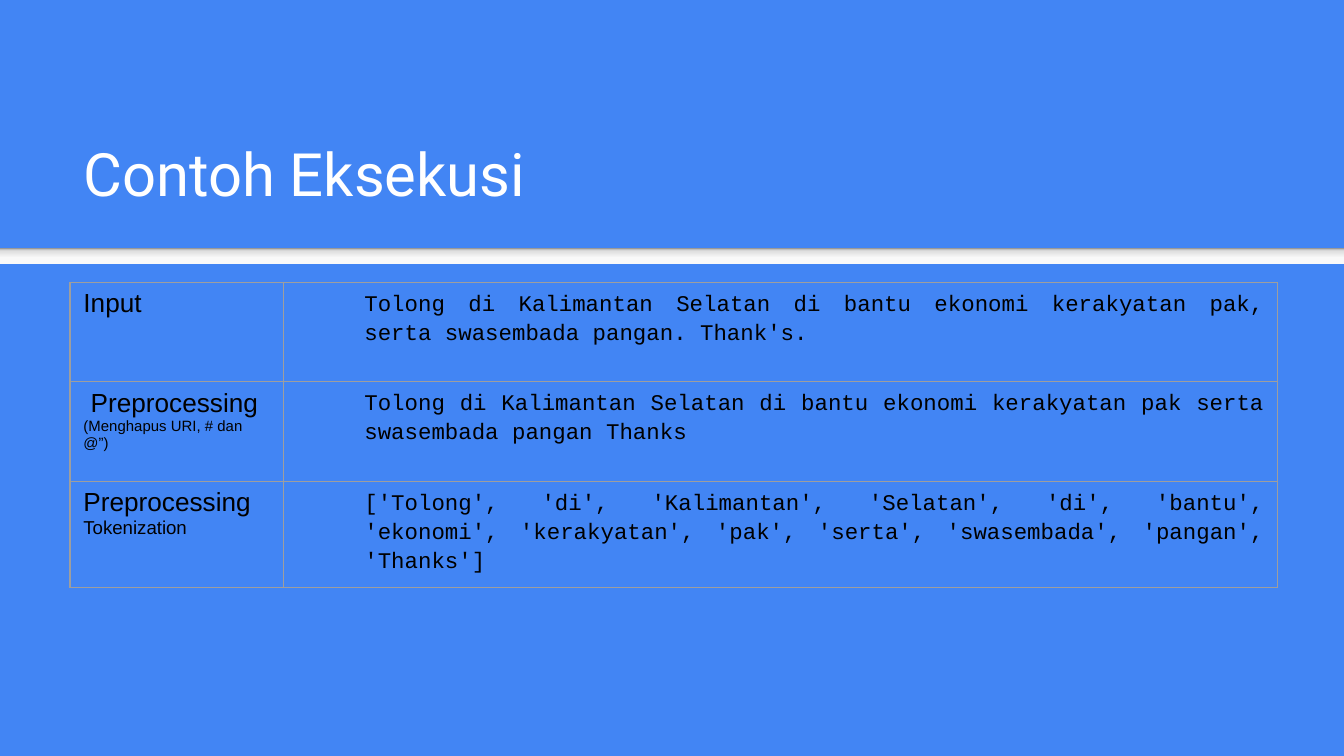
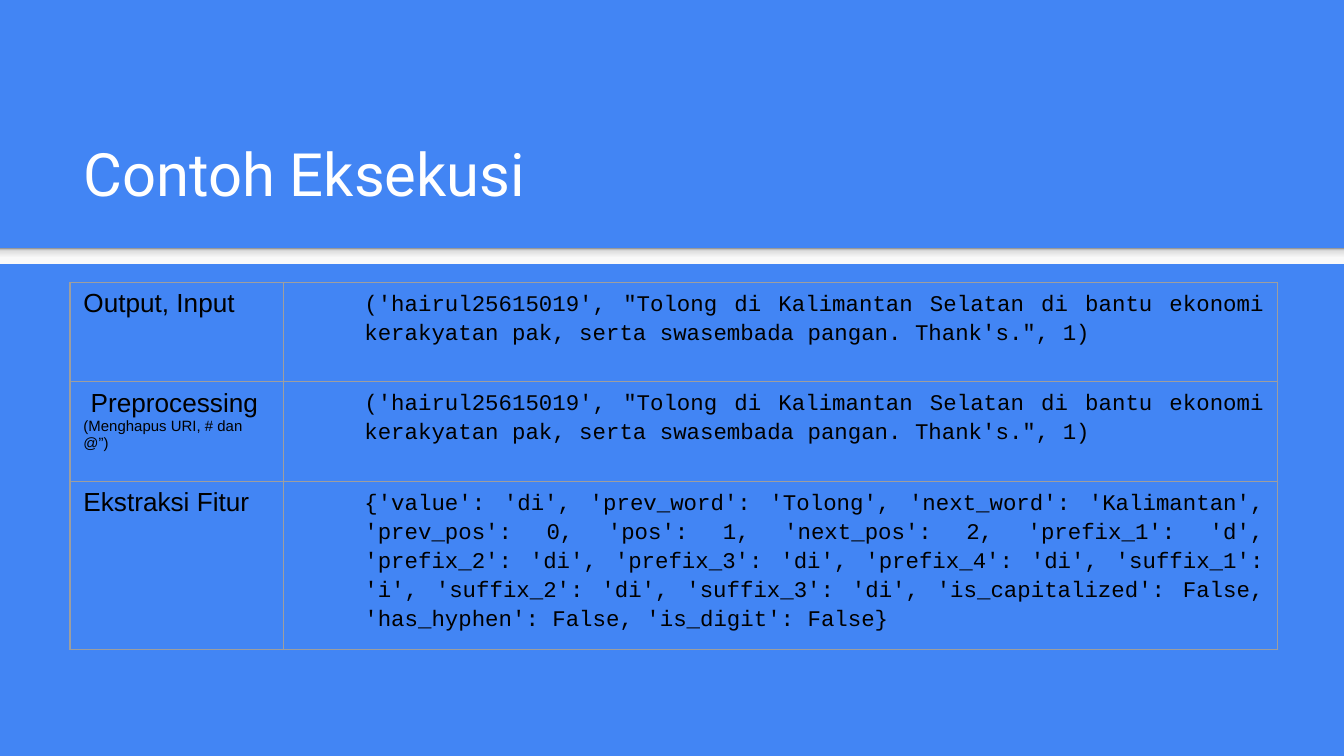
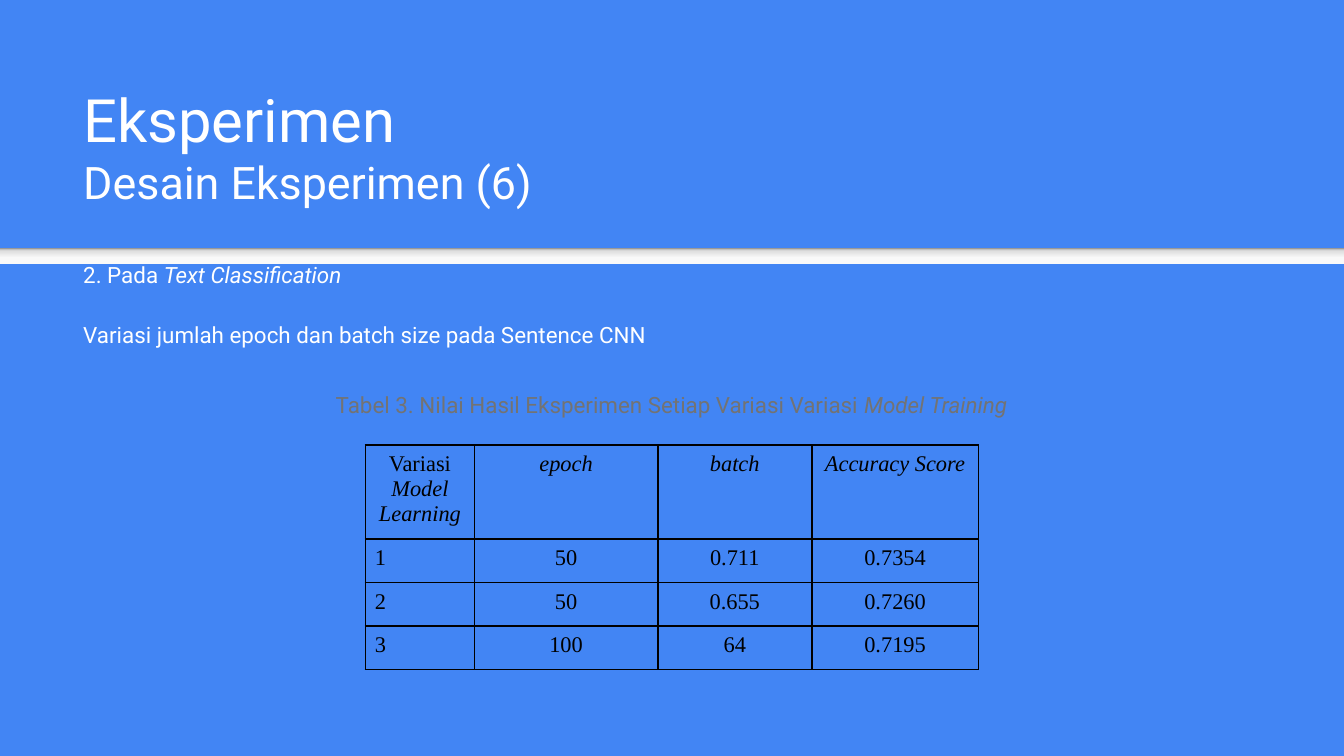
from lxml import etree
from pptx import Presentation
from pptx import util as u
from pptx.dml.color import RGBColor
from pptx.enum import shapes, text
from pptx.oxml import ns, parse_xml

COLORS = {"blue": "4285F4", "white": "FFFFFF", "black": "000000",
          "rule": "9E9E9E", "caption": "737373"}
BAND_STOPS = [(0, "F9F9F9"), (36, "F9F9F9"), (80, "DEDEDE"), (100, "999999")]
ALIGN = text.PP_ALIGN
LEFT, WIDTH = 37.5, 647
ITALIC = {"italic": True}

# A text is a list of paragraphs; a paragraph is a list of (words, format) spans.
EXECUTION_TITLE = [[("Contoh Eksekusi", {})]]
CLEANING = [[(" Preprocessing", {})], [("(Menghapus URI, # dan @”)", {"size": 8})]]
TWEET = ("('hairul25615019', \"Tolong di Kalimantan Selatan di bantu ekonomi "
         "kerakyatan pak, serta swasembada pangan. Thank's.\", 1)")
EXECUTIONS = [
    [
        ([[("Input", {})]],
         "Tolong di Kalimantan Selatan di bantu ekonomi kerakyatan pak, "
         "serta swasembada pangan. Thank's."),
        (CLEANING,
         "Tolong di Kalimantan Selatan di bantu ekonomi kerakyatan pak "
         "serta swasembada pangan Thanks"),
        ([[("Preprocessing", {})], [("Tokenization", {"size": 10})]],
         "['Tolong', 'di', 'Kalimantan', 'Selatan', 'di', 'bantu', 'ekonomi', "
         "'kerakyatan', 'pak', 'serta', 'swasembada', 'pangan', 'Thanks']"),
    ],
    [
        ([[("Output, Input", {})]], TWEET),
        (CLEANING, TWEET),
        ([[("Ekstraksi Fitur", {})]],
         "{'value': 'di', 'prev_word': 'Tolong', 'next_word': 'Kalimantan', "
         "'prev_pos': 0, 'pos': 1, 'next_pos': 2, 'prefix_1': 'd', "
         "'prefix_2': 'di', 'prefix_3': 'di', 'prefix_4': 'di', "
         "'suffix_1': 'i', 'suffix_2': 'di', 'suffix_3': 'di', "
         "'is_capitalized': False, 'has_hyphen': False, 'is_digit': False}"),
    ],
]
DESIGN_TITLE = [[("Eksperimen", {}), ("\n", {}), ("Desain Eksperimen (6)", {"size": 24})]]
DESIGN_BODY = [
    [("2. Pada ", {}), ("Text Classification", ITALIC)],
    [("Variasi jumlah epoch dan batch size pada Sentence CNN", {})],
]
SCORE_CAPTION = [[("Tabel 3. Nilai Hasil Eksperimen Setiap Variasi Variasi ", {}),
                  ("Model Training", ITALIC)]]
SCORE_HEADER = [[("Variasi ", {}), ("Model Learning", ITALIC)], [("epoch", ITALIC)],
                [("batch", ITALIC)], [("Accuracy Score", ITALIC)]]
SCORES = [("1", "50", "0.711", "0.7354"),
          ("2", "50", "0.655", "0.7260"),
          ("3", "100", "64", "0.7195")]


def write_text(frame, paragraphs, size=12, font="Roboto", color="white", align=ALIGN.LEFT,
               spacing=1.0, gap=0, indent=0):
    """Fill a text frame; gap is the space between paragraphs."""
    frame.word_wrap = True
    for number, spans in enumerate(paragraphs):
        para = frame.add_paragraph() if number else frame.paragraphs[0]
        para.alignment = align
        para.line_spacing = spacing
        para.space_before = u.Pt(gap if number else 0)
        if indent:
            properties = para._p.get_or_add_pPr()
            properties.set("marL", str(u.Pt(indent)))
            properties.set("indent", "0")
        for words, style in spans:
            if words == "\n":
                para.add_line_break()
                continue
            span = para.add_run()
            span.text = words
            span.font.name = font
            span.font.size = u.Pt(style.get("size", size))
            span.font.italic = style.get("italic", False)
            span.font.color.rgb = RGBColor.from_string(COLORS[color])


def add_text(page, place, paragraphs, anchor=text.MSO_ANCHOR.TOP, **style):
    """Add a text box with even insets."""
    box = page.shapes.add_textbox(*map(u.Pt, place))
    frame = box.text_frame
    frame.margin_left = frame.margin_right = u.Pt(7.2)
    frame.margin_top = frame.margin_bottom = u.Pt(7.2)
    frame.vertical_anchor = anchor
    write_text(frame, paragraphs, **style)


def add_band(page):
    """Add the shaded band under the title."""
    band = page.shapes.add_shape(shapes.MSO_SHAPE.RECTANGLE, 0, u.Pt(132.7), u.Pt(720), u.Pt(8.7))
    band.shadow.inherit = False
    band.line.fill.background()
    band.fill.gradient()
    gradient = band._element.spPr.find(ns.qn("a:gradFill"))
    stops = gradient.find(ns.qn("a:gsLst"))
    for stop in list(stops):
        stops.remove(stop)
    for percent, color in BAND_STOPS:
        stop = etree.SubElement(stops, ns.qn("a:gs"), pos=str(percent * 1000))
        etree.SubElement(stop, ns.qn("a:srgbClr"), val=color)
    gradient.find(ns.qn("a:lin")).set("ang", str(270 * 60000))


def add_page(deck, title):
    """Add a blue page with its band and title."""
    page = deck.slides.add_slide(deck.slide_layouts[6])
    page.background.fill.solid()
    page.background.fill.fore_color.rgb = RGBColor.from_string(COLORS["blue"])
    add_band(page)
    add_text(page, (LEFT, 58.3, WIDTH, 60.5), title, anchor=text.MSO_ANCHOR.BOTTOM, size=32)
    return page


def add_grid(page, left, top, columns, rows, border, weight, inset):
    """Add an unfilled table with ruled cells."""
    table = page.shapes.add_table(len(rows), len(columns), u.Pt(left), u.Pt(top),
                                  u.Pt(sum(columns)), u.Pt(sum(rows))).table
    table.first_row = table.horz_banding = False
    for column, width in zip(table.columns, columns):
        column.width = u.Pt(width)
    for row, height in zip(table.rows, rows):
        row.height = u.Pt(height)
    for cell in table.iter_cells():
        cell.margin_left = cell.margin_right = u.Pt(inset)
        cell.margin_top = cell.margin_bottom = u.Pt(3.6)
        properties = cell._tc.get_or_add_tcPr()
        for side in "LRTB":
            properties.append(parse_xml(
                f'<a:ln{side} {ns.nsdecls("a")} w="{u.Pt(weight)}"><a:solidFill>'
                f'<a:srgbClr val="{COLORS[border]}"/></a:solidFill></a:ln{side}>'))
        cell.fill.background()
    return table


def add_execution(deck, steps):
    """Add a page that lists the steps of one run."""
    page = add_page(deck, EXECUTION_TITLE)
    table = add_grid(page, LEFT, 151.2, (114.5, 532.5), [53.3] * len(steps), "rule", 0.75, 7.2)
    for row, (label, sample) in enumerate(steps):
        write_text(table.cell(row, 0).text_frame, label, size=14, font="Arial", color="black")
        write_text(table.cell(row, 1).text_frame, [[(sample, {})]], font="Courier New",
                   color="black", align=ALIGN.JUSTIFY, spacing=1.15, indent=36)


def add_design(deck):
    """Add the page with the accuracy scores."""
    page = add_page(deck, DESIGN_TITLE)
    add_text(page, (LEFT, 130.3, WIDTH, 60.5), DESIGN_BODY, spacing=1.15, gap=16)
    add_text(page, (170, 200, 379.5, 29.5), SCORE_CAPTION, color="caption",
             align=ALIGN.CENTER, spacing=1.15)
    table = add_grid(page, 195.8, 238.4, (58.4, 98.2, 82.6, 89.2),
                     [50] + [23.3] * len(SCORES), "black", 0.96, 5)
    lines = [SCORE_HEADER] + [[[(value, {})] for value in line] for line in SCORES]
    for row, line in enumerate(lines):
        for column, spans in enumerate(line):
            align = ALIGN.JUSTIFY if row and not column else ALIGN.CENTER
            write_text(table.cell(row, column).text_frame, [spans],
                       font="Times New Roman", color="black", align=align)


deck = Presentation()
deck.slide_width, deck.slide_height = u.Pt(720), u.Pt(405)
for steps in EXECUTIONS:
    add_execution(deck, steps)
add_design(deck)
deck.save("out.pptx")
